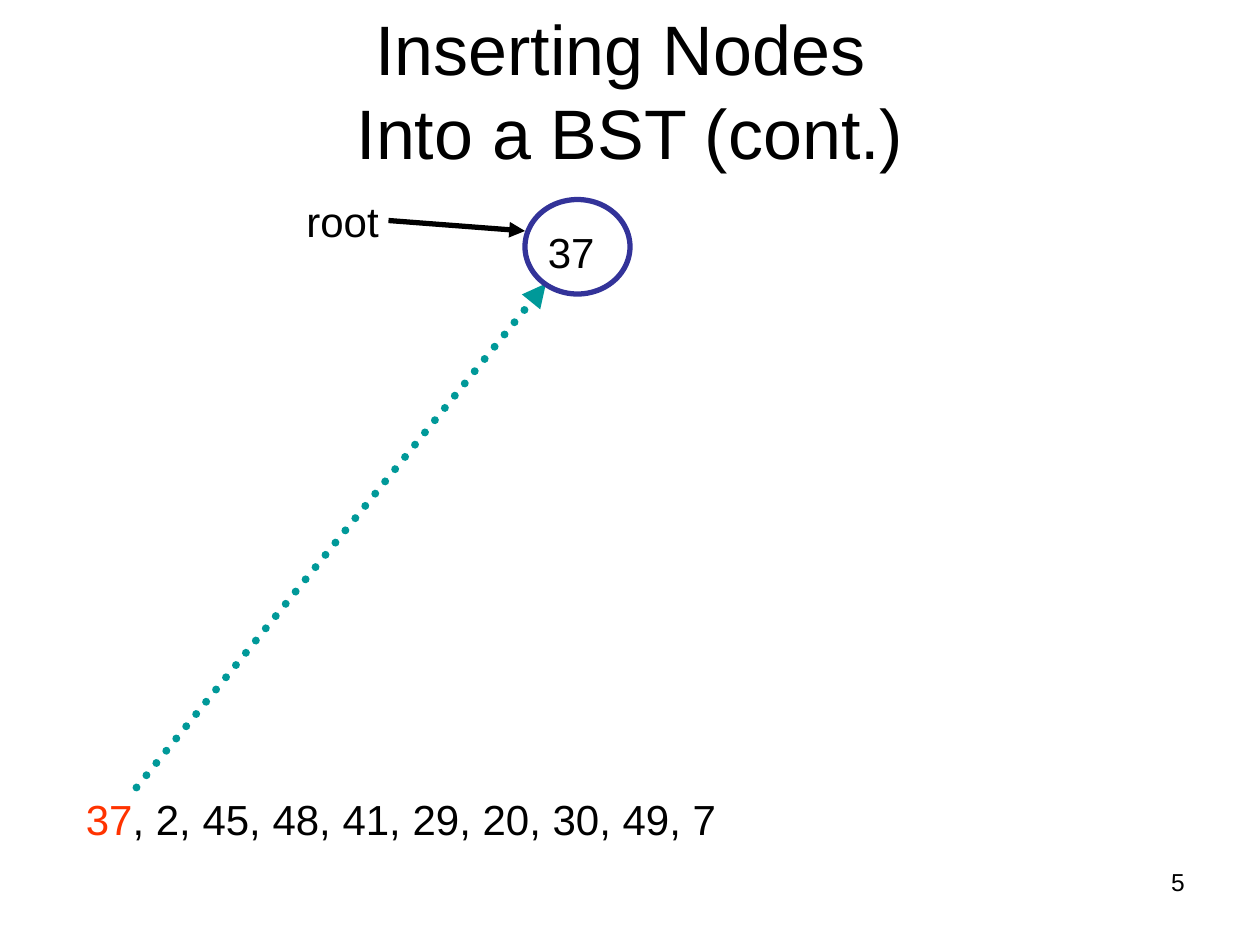
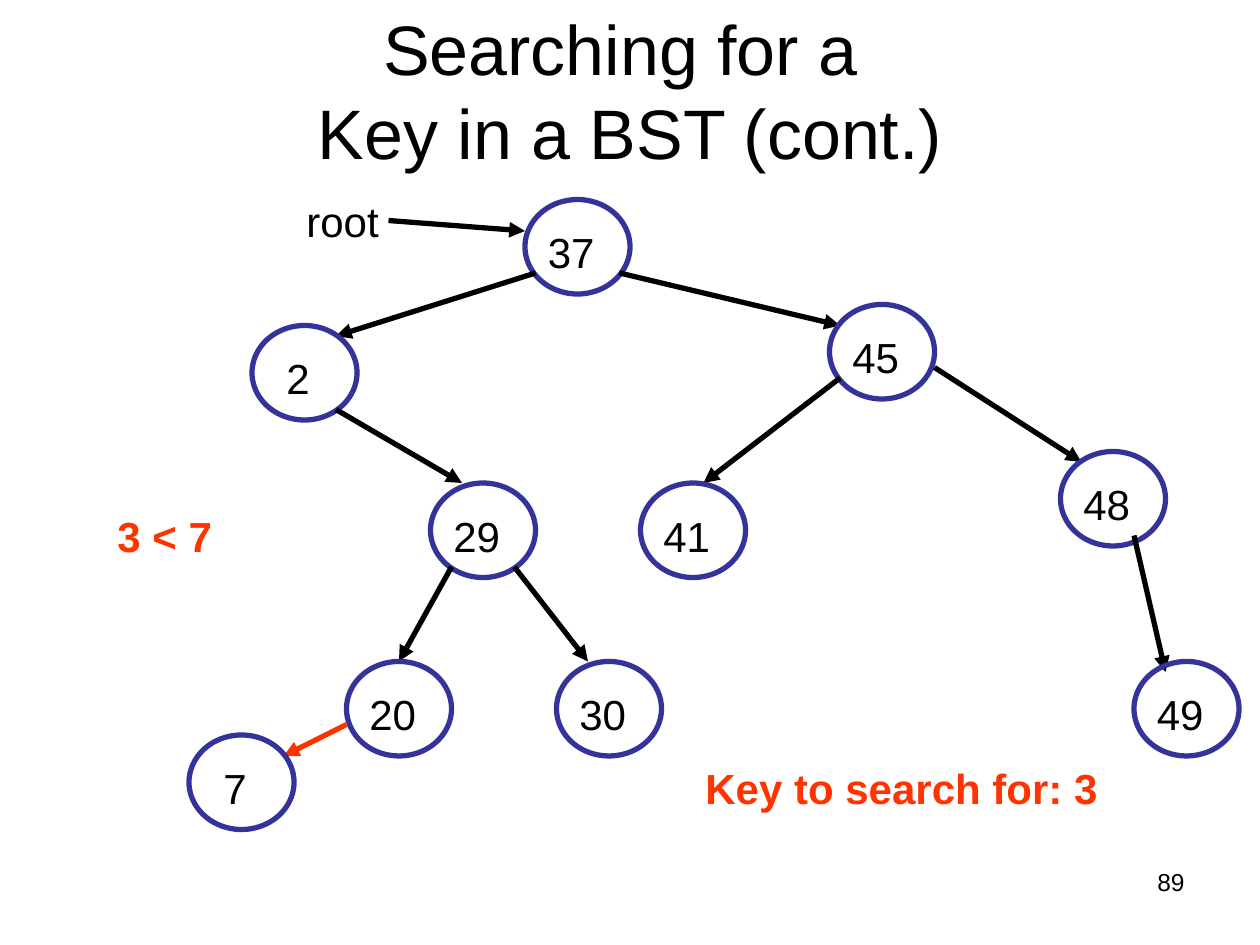
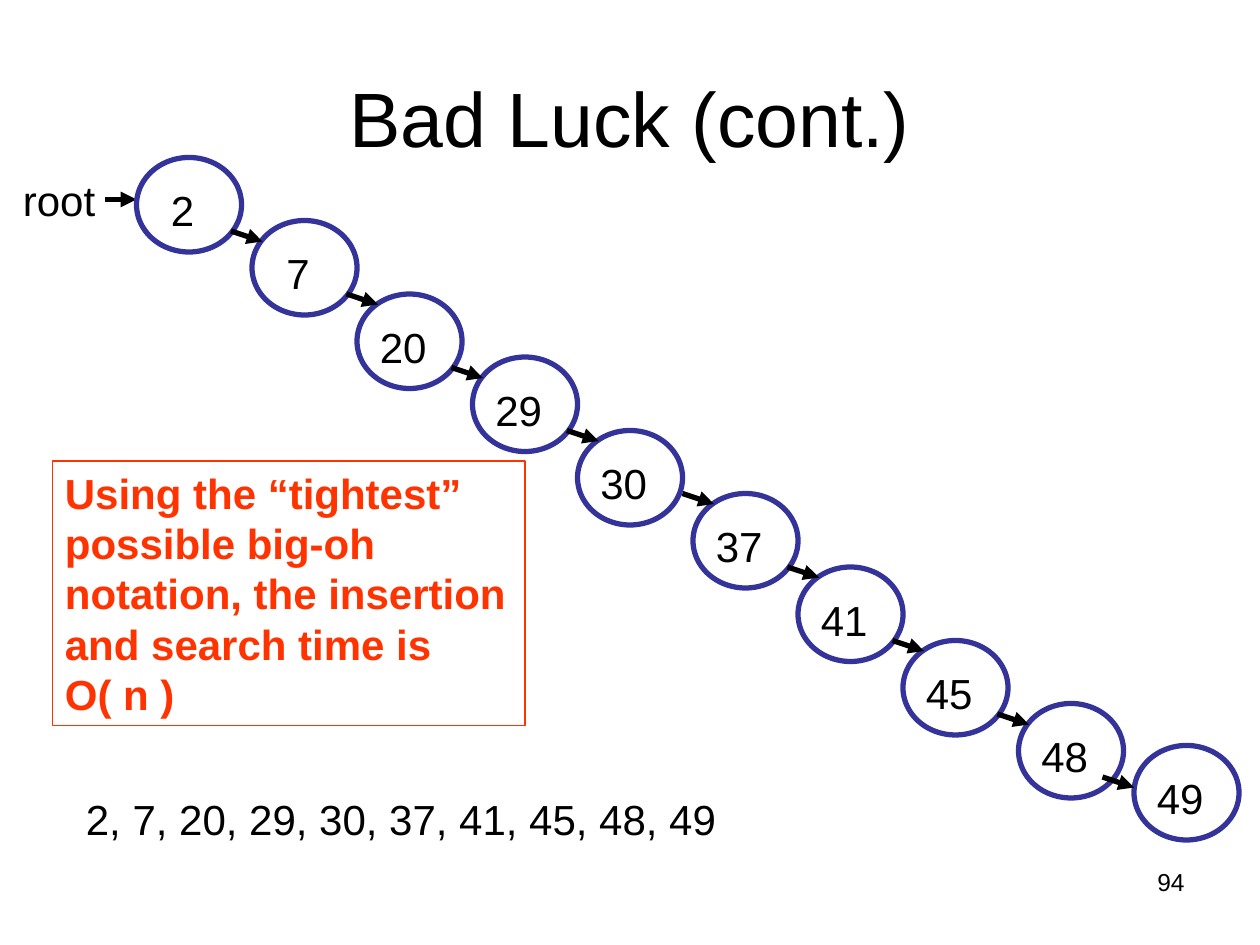
from lxml.etree import SubElement
from pptx import Presentation
from pptx.dml.color import RGBColor
from pptx.enum.dml import MSO_LINE
from pptx.enum.shapes import MSO_CONNECTOR, MSO_SHAPE
from pptx.enum.text import MSO_ANCHOR, MSO_AUTO_SIZE, PP_ALIGN
from pptx.oxml.ns import qn
from pptx.util import Inches, Pt

BLACK = RGBColor(0x00, 0x00, 0x00)
NODE_BLUE = RGBColor(0x33, 0x33, 0x99)
ACCENT_RED = RGBColor(0xFF, 0x33, 0x00)
INSERT_TEAL = RGBColor(0x00, 0x99, 0x99)
FONT = "Arial"
CELL = Inches(1) / 12
COLUMNS, ROWS = 120, 90
NODE_WIDTH, NODE_HEIGHT = 10, 9
LABEL_WIDTH, LABEL_RIGHT_LIMIT = 13, 116
TEXT_HEIGHT = 6


def cells(*counts):
    return [round(count * CELL) for count in counts]


def add_run(paragraph, text, color=BLACK, size=24, bold=False):
    run = paragraph.add_run()
    run.text = text
    run.font.name = FONT
    run.font.size = Pt(size)
    run.font.bold = bold
    run.font.color.rgb = color


def add_label(slide, box, *runs, align=PP_ALIGN.LEFT, **style):
    frame = slide.shapes.add_textbox(*cells(*box)).text_frame
    frame.word_wrap = True
    paragraph = frame.paragraphs[0]
    paragraph.alignment = align
    for text, color in runs:
        add_run(paragraph, text, color, **style)
    return frame


def add_arrow(slide, start, end, color=BLACK, width=3, dotted=False):
    arrow = slide.shapes.add_connector(MSO_CONNECTOR.STRAIGHT, *cells(*start, *end))
    arrow.line.color.rgb = color
    arrow.line.width = Pt(width)
    outline = arrow.line._get_or_add_ln()
    if dotted:
        arrow.line.dash_style = MSO_LINE.ROUND_DOT
        outline.set("cap", "rnd")
    SubElement(outline, qn("a:tailEnd"), type="triangle")
    SubElement(arrow._element.spPr, qn("a:effectLst"))


def add_outline(slide, preset, box, color, width):
    outline = slide.shapes.add_shape(preset, *cells(*box))
    outline.shadow.inherit = False
    outline.fill.background()
    outline.line.color.rgb = color
    outline.line.width = Pt(width)
    return outline


def add_node(slide, key, left, top):
    add_outline(slide, MSO_SHAPE.OVAL, (left, top, NODE_WIDTH, NODE_HEIGHT), NODE_BLUE, 3)
    key_left = left + 1
    key_width = min(LABEL_WIDTH, LABEL_RIGHT_LIMIT - key_left)
    frame = add_label(slide, (key_left, top + 2, key_width, TEXT_HEIGHT), (key, BLACK))
    frame.margin_left = Inches(0.1 + 0.09 * (2 - len(key)))


def add_root_pointer(slide, left, top, tip):
    add_label(slide, (left, top, 22, TEXT_HEIGHT), ("root", BLACK))
    add_arrow(slide, (left + 9, top + 3), tip)


def add_key_sequence(slide, *runs):
    add_label(slide, (7, 75, 103, TEXT_HEIGHT), *runs)


def start_slide(deck, title_lines, number, title_top=1, title_size=40):
    slide = deck.slides.add_slide(deck.slide_layouts[5])
    title = slide.shapes.title
    title.left, title.top, title.width, title.height = cells(6, title_top, 108, 15)
    frame = title.text_frame
    frame.word_wrap = True
    frame.auto_size = MSO_AUTO_SIZE.NONE
    frame.vertical_anchor = MSO_ANCHOR.MIDDLE
    paragraph = frame.paragraphs[0]
    paragraph.alignment = PP_ALIGN.CENTER
    for index, line in enumerate(title_lines):
        if index:
            paragraph.add_line_break()
        add_run(paragraph, line, size=title_size)
    add_label(slide, (86, 82, 28, 6.2), (number, BLACK), align=PP_ALIGN.RIGHT, size=14)
    return slide


def add_tree_root(slide):
    add_node(slide, "37", 50, 19)
    add_root_pointer(slide, 28, 18, (50, 22))


def build_insertion(deck):
    slide = start_slide(deck, ["Inserting Nodes ", "Into a BST (cont.)"], "5")
    add_key_sequence(slide, ("37", ACCENT_RED), (", 2, 45, 48, 41, 29, 20, 30, 49, 7", BLACK))
    add_arrow(slide, (13, 75), (52, 27), INSERT_TEAL, 4.5, dotted=True)
    add_tree_root(slide)


def build_search(deck):
    slide = start_slide(deck, ["Searching for a ", "Key in a BST (cont.)"], "89")
    add_tree_root(slide)
    children = [
        ("2", (24, 31), (51, 26), (32, 32)),
        ("45", (79, 29), (59, 26), (80, 31)),
        ("48", (101, 43), (89, 35), (103, 44)),
        ("41", (61, 46), (80, 36), (67, 46)),
        ("29", (41, 46), (32, 39), (44, 46)),
        ("20", (33, 63), (43, 54), (38, 63)),
        ("30", (53, 63), (49, 54), (56, 63)),
        ("49", (108, 63), (108, 51), (111, 64)),
        ("7", (18, 70), (33, 69), (27, 72)),
    ]
    compared_key = "7"
    for key, corner, start, end in children:
        add_arrow(slide, start, end, ACCENT_RED if key == compared_key else BLACK)
        add_node(slide, key, *corner)
    add_label(slide, (66, 72, 45, 13.3), ("Key to search for: 3", ACCENT_RED), bold=True)
    add_label(slide, (10, 48, 27, TEXT_HEIGHT), ("3 < 7", ACCENT_RED), bold=True)


def add_big_oh_note(slide, box):
    note = add_outline(slide, MSO_SHAPE.RECTANGLE, box, ACCENT_RED, 0.75)
    frame = note.text_frame
    frame.word_wrap = True
    frame.vertical_anchor = MSO_ANCHOR.TOP
    paragraph = frame.paragraphs[0]
    paragraph.alignment = PP_ALIGN.LEFT
    add_run(
        paragraph,
        "Using the “tightest” possible big-oh notation, the insertion and search time is O( n )",
        ACCENT_RED,
        bold=True,
    )


def build_bad_luck(deck):
    slide = start_slide(deck, ["Bad Luck (cont.)"], "94", title_top=3.6, title_size=44)
    chain = {
        "2": (13, 15), "7": (24, 21), "20": (34, 28), "29": (45, 34), "30": (55, 41),
        "37": (66, 47), "41": (76, 54), "45": (86, 61), "48": (97, 67), "49": (108, 71),
    }
    exit_offsets = {"30": (10, 6), "48": (8, 7)}
    add_key_sequence(slide, (", ".join(chain), BLACK))
    add_root_pointer(slide, 1, 16, (13, 19))
    for key, corner in chain.items():
        add_node(slide, key, *corner)
    for key, (left, top) in list(chain.items())[:-1]:
        across, down = exit_offsets.get(key, (9, 7))
        start = left + across, top + down
        add_arrow(slide, start, (start[0] + 3, start[1] + 1))
    add_big_oh_note(slide, (5, 43.9, 45, 25.2))


def main():
    deck = Presentation()
    deck.slide_width, deck.slide_height = cells(COLUMNS, ROWS)
    build_insertion(deck)
    build_search(deck)
    build_bad_luck(deck)
    deck.save("out.pptx")


if __name__ == "__main__":
    main()
